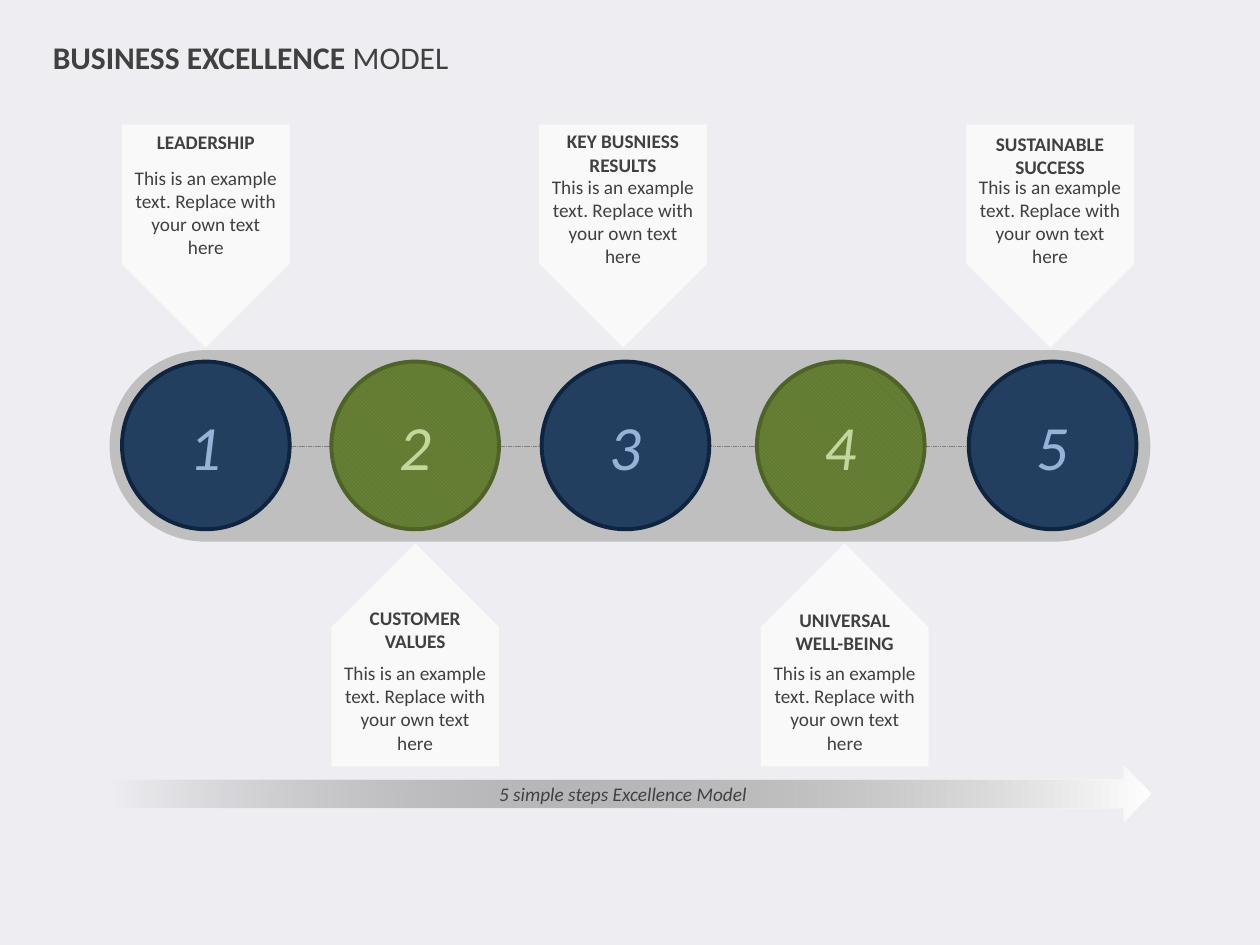
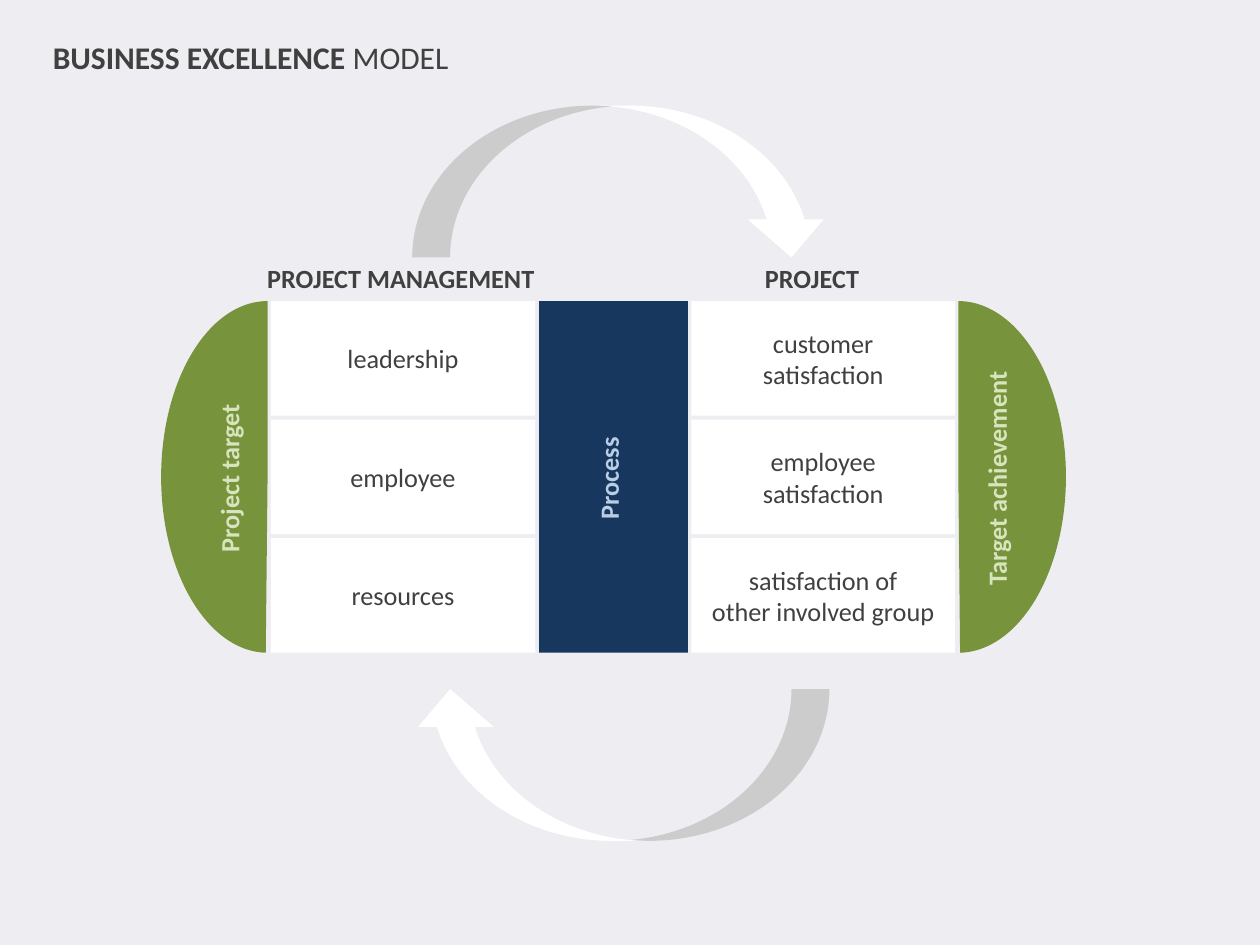
from lxml import etree
from pptx import Presentation
from pptx.dml.color import RGBColor
from pptx.enum.dml import MSO_LINE, MSO_PATTERN
from pptx.enum.shapes import MSO_CONNECTOR, MSO_SHAPE
from pptx.enum.text import MSO_ANCHOR, MSO_AUTO_SIZE, PP_ALIGN
from pptx.oxml.ns import qn
from pptx.util import Cm, Pt

LEFT, CENTER = PP_ALIGN.LEFT, PP_ALIGN.CENTER
TOP, MIDDLE = MSO_ANCHOR.TOP, MSO_ANCHOR.MIDDLE
FIT_TEXT = MSO_AUTO_SIZE.SHAPE_TO_FIT_TEXT
DIAGONAL = MSO_PATTERN.DARK_DOWNWARD_DIAGONAL
FINE_DASH = MSO_LINE.SQUARE_DOT
STRAIGHT = MSO_CONNECTOR.STRAIGHT
ROUNDED, OVAL, PENTAGON = MSO_SHAPE.ROUNDED_RECTANGLE, MSO_SHAPE.OVAL, MSO_SHAPE.PENTAGON
RECTANGLE, PIE = MSO_SHAPE.RECTANGLE, MSO_SHAPE.PIE
RIGHT_ARROW, CURVED_ARROW = MSO_SHAPE.RIGHT_ARROW, MSO_SHAPE.CURVED_DOWN_ARROW

FONT = "Calibri"
BACKGROUND = RGBColor(0xEE, 0xEE, 0xF2)
INK = RGBColor(0x40, 0x40, 0x40)
WHITE = RGBColor(0xFF, 0xFF, 0xFF)
BLACK = RGBColor(0, 0, 0)
BAND_GRAY = RGBColor(0xBF, 0xBF, 0xBF)
LINE_GRAY = RGBColor(0x80, 0x80, 0x80)
NAVY = RGBColor(0x17, 0x37, 0x5E)
GREEN = RGBColor(0x77, 0x93, 0x3C)
PALE_GREEN = RGBColor(0xD7, 0xE4, 0xBD)
PALE_BLUE = RGBColor(0xB9, 0xCD, 0xE5)

NAVY_DISC = (NAVY, RGBColor(0x25, 0x40, 0x61), RGBColor(0x0F, 0x24, 0x3E), RGBColor(0x95, 0xB3, 0xD7))
GREEN_DISC = (GREEN, RGBColor(0x61, 0x79, 0x32), RGBColor(0x4F, 0x62, 0x28), RGBColor(0xC3, 0xD6, 0x9B))

EXAMPLE = "This is an example text. Replace with your own text here"
DISC = 3.38
BAND_LEFT, BAND_WIDTH = 2.21, 20.98
BLOCK_TOP, BLOCK_HEIGHT = 6.07, 7.09
ROW_HEIGHT, ROW_PITCH = 2.31, 2.39

# Each step: heading, disc centre, callout centre, heading top, example top
STEPS = [
    ("LEADERSHIP", 4.15, 4.15, 2.51, 3.23),
    ("CUSTOMER VALUES", 8.37, 8.37, 12.09, 13.21),
    ("KEY BUSNIESS RESULTS", 12.61, 12.56, 2.49, 3.4),
    ("UNIVERSAL WELL-BEING", 16.95, 17.03, 12.14, 13.21),
    ("SUSTAINABLE SUCCESS", 21.22, 21.17, 2.54, 3.4),
]
ENABLERS = ["leadership", "employee", "resources"]
RESULTS = ["customer\nsatisfaction", "employee\nsatisfaction", "satisfaction of\nother involved group"]


def style_text(frame, size, color, bold=False, italic=False, align=CENTER):
    """Format every run in a text frame."""
    for paragraph in frame.paragraphs:
        paragraph.alignment = align
        for run in paragraph.runs:
            font = run.font
            font.name, font.size, font.color.rgb = FONT, Pt(size), color
            font.bold, font.italic = bold, italic


def add_block(slide, kind, left, top, width, height, fill=None, rotation=0):
    """Add a preset shape without outline or shadow."""
    block = slide.shapes.add_shape(kind, Cm(left), Cm(top), Cm(width), Cm(height))
    block.shadow.inherit = False
    block.line.fill.background()
    block.rotation = rotation
    if fill is not None:
        block.fill.solid()
        block.fill.fore_color.rgb = fill
    return block


def write_in(block, text, size, color=INK, italic=False):
    """Centre text inside a shape."""
    block.text_frame.text = text
    block.text_frame.vertical_anchor = MIDDLE
    style_text(block.text_frame, size, color, italic=italic)


def add_label(slide, text, center, top, width, height, size,
              color=INK, bold=True, wrap=False, rotation=0):
    """Add a text box centred on a horizontal position."""
    label = slide.shapes.add_textbox(Cm(center - width / 2), Cm(top), Cm(width), Cm(height))
    label.rotation = rotation
    frame = label.text_frame
    frame.word_wrap, frame.auto_size = wrap, FIT_TEXT
    frame.text = text
    style_text(frame, size, color, bold)


def set_opacity(block, percent):
    """Set the opacity of the first colour in a shape's fill."""
    color = block.element.spPr.find(".//" + qn("a:srgbClr"))
    etree.SubElement(color, qn("a:alpha")).set("val", str(percent * 1000))


def add_titled_slide(prs):
    """Add a slide with the shared title."""
    slide = prs.slides.add_slide(prs.slide_layouts[5])
    title = slide.shapes.title
    title.left, title.top, title.width, title.height = Cm(0.81), Cm(0.64), Cm(8.53), Cm(1.02)
    frame = title.text_frame
    frame.text = "BUSINESS EXCELLENCE "
    frame.paragraphs[0].add_run().text = "MODEL"
    frame.word_wrap, frame.auto_size, frame.vertical_anchor = False, FIT_TEXT, TOP
    style_text(frame, 18, INK, bold=True, align=LEFT)
    frame.paragraphs[0].runs[1].font.bold = False
    return slide


def add_step_line(slide):
    """Draw the fine dashed line behind the discs."""
    line = slide.shapes.add_connector(STRAIGHT, Cm(5.84), Cm(8.99), Cm(19.53), Cm(8.99))
    line.line.color.rgb = LINE_GRAY
    line.line.width = Pt(0.25)
    line.line.dash_style = FINE_DASH
    etree.SubElement(line.element.spPr, qn("a:effectLst"))


def add_disc(slide, number, center):
    """Add a numbered disc, navy for odd steps and green for even ones."""
    stripe, base, rim, digit = NAVY_DISC if number % 2 else GREEN_DISC
    disc = add_block(slide, OVAL, center - DISC / 2, 7.29, DISC, DISC)
    disc.fill.patterned()
    disc.fill.pattern = DIAGONAL
    disc.fill.fore_color.rgb, disc.fill.back_color.rgb = stripe, base
    disc.line.color.rgb = rim
    disc.line.width = Pt(2.25)
    write_in(disc, str(number), 36, digit, italic=True)


def add_callout(slide, heading, center, heading_top, example_top, above):
    """Add a translucent pointer with its heading and example text."""
    length = 4.5
    middle, rotation = (4.76, 90) if above else (13.2, 270)
    pointer = add_block(slide, PENTAGON, center - length / 2, middle - DISC / 2,
                        length, DISC, WHITE, rotation)
    set_opacity(pointer, 67)
    add_label(slide, heading, center, heading_top, DISC, 1.19, 11, wrap=True)
    add_label(slide, EXAMPLE, center, example_top, DISC, 2.13, 11, bold=False, wrap=True)


def add_fading_arrow(slide, text):
    """Add the arrow that fades in from the left."""
    arrow = add_block(slide, RIGHT_ARROW, BAND_LEFT, 15.44, BAND_WIDTH, 1.12)
    arrow.fill.gradient()
    arrow.fill.gradient_angle = 0
    for stop, color, position in zip(arrow.fill.gradient_stops, (BLACK, WHITE), (0, 1)):
        stop.color.rgb, stop.position = color, position
    set_opacity(arrow, 0)
    write_in(arrow, text, 11, italic=True)


def add_column(slide, left, width, entries):
    """Stack white cells at an equal pitch."""
    for row, entry in enumerate(entries):
        cell = add_block(slide, RECTANGLE, left, BLOCK_TOP + row * ROW_PITCH, width, ROW_HEIGHT, WHITE)
        write_in(cell, entry, 15)


def add_half_disc(slide, left, width, start, end):
    """Add a green end cap between two pie angles."""
    cap = add_block(slide, PIE, left, BLOCK_TOP, width, BLOCK_HEIGHT, GREEN)
    cap.adjustments[0], cap.adjustments[1] = start, end


def build_steps(prs):
    """Build the slide with the five steps."""
    slide = add_titled_slide(prs)
    band = add_block(slide, ROUNDED, BAND_LEFT, 7.06, BAND_WIDTH, 3.86, BAND_GRAY)
    band.adjustments[0] = 0.5
    add_step_line(slide)
    for number, (heading, disc, callout, heading_top, example_top) in enumerate(STEPS, 1):
        add_disc(slide, number, disc)
        add_callout(slide, heading, callout, heading_top, example_top, above=number % 2 == 1)
    add_fading_arrow(slide, "5 simple steps Excellence Model")


def build_cycle(prs):
    """Build the slide with the project cycle."""
    slide = add_titled_slide(prs)
    add_half_disc(slide, 3.25, 4.29, 54.35, 162)
    add_half_disc(slide, 17.15, 4.34, 162, 53.65)
    add_column(slide, 5.46, 5.33, ENABLERS)
    add_block(slide, RECTANGLE, 10.87, BLOCK_TOP, 3, BLOCK_HEIGHT, NAVY)
    add_column(slide, 13.94, 5.31, RESULTS)
    for text, center, width, color in (("Project target", 4.62, 3.56, PALE_GREEN),
                                       ("Target achievement", 20.09, 4.93, PALE_GREEN),
                                       ("Process", 12.27, 2.18, PALE_BLUE)):
        add_label(slide, text, center, 9.2, width, 0.89, 15, color, rotation=270)
    add_label(slide, "PROJECT MANAGEMENT", 8.08, 5.16, 5.99, 0.89, 15)
    add_label(slide, "PROJECT", 16.37, 5.16, 2.46, 0.89, 15)
    for top, rotation in ((2.13, 0), (13.89, 180)):
        add_block(slide, CURVED_ARROW, 8.31, top, 8.41, 3.06, WHITE, rotation)


def main():
    """Build and save the presentation."""
    prs = Presentation()
    prs.slide_width, prs.slide_height = Cm(25.4), Cm(19.05)
    backdrop = prs.slide_master.background.fill
    backdrop.solid()
    backdrop.fore_color.rgb = BACKGROUND
    build_steps(prs)
    build_cycle(prs)
    prs.save("out.pptx")


if __name__ == "__main__":
    main()
